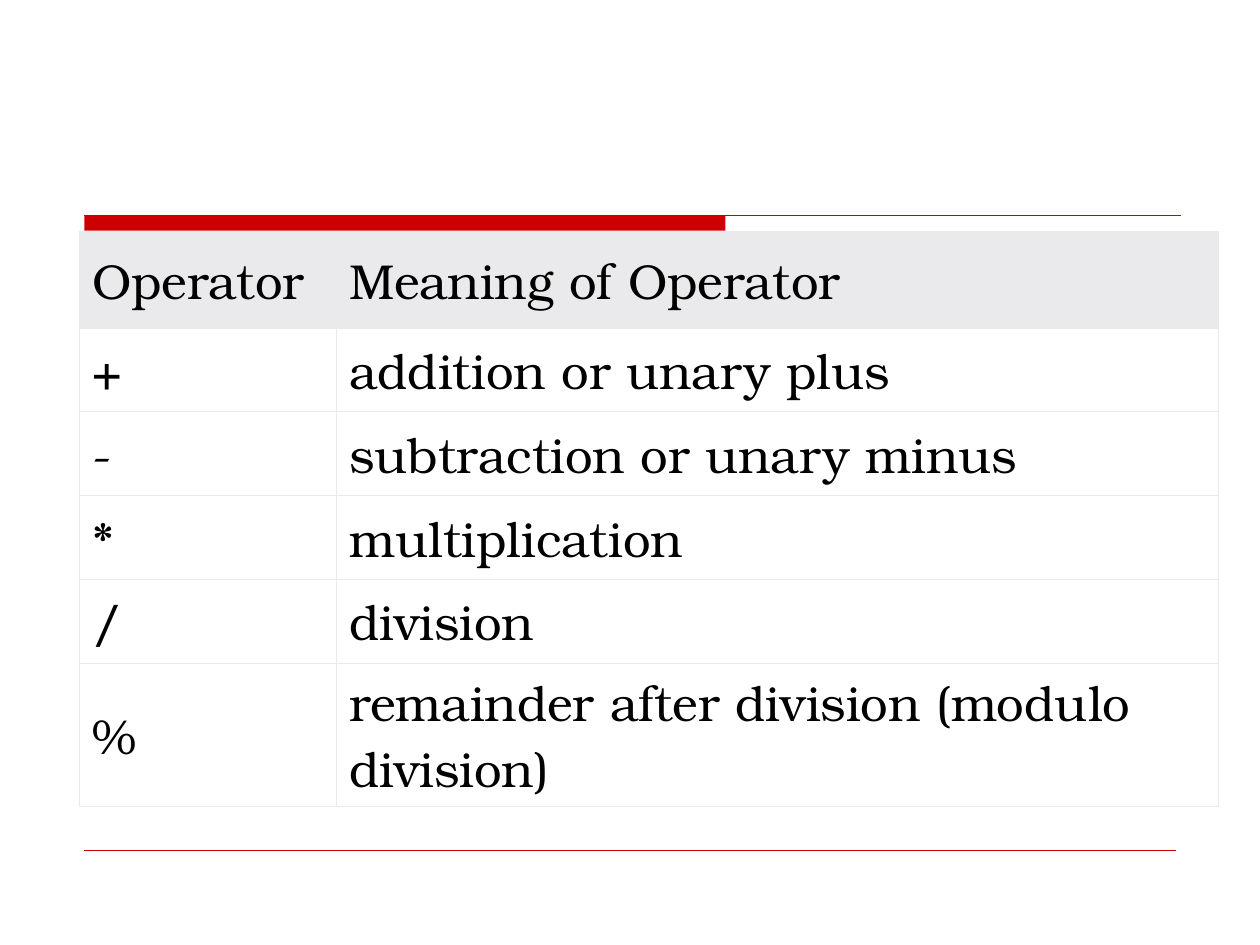
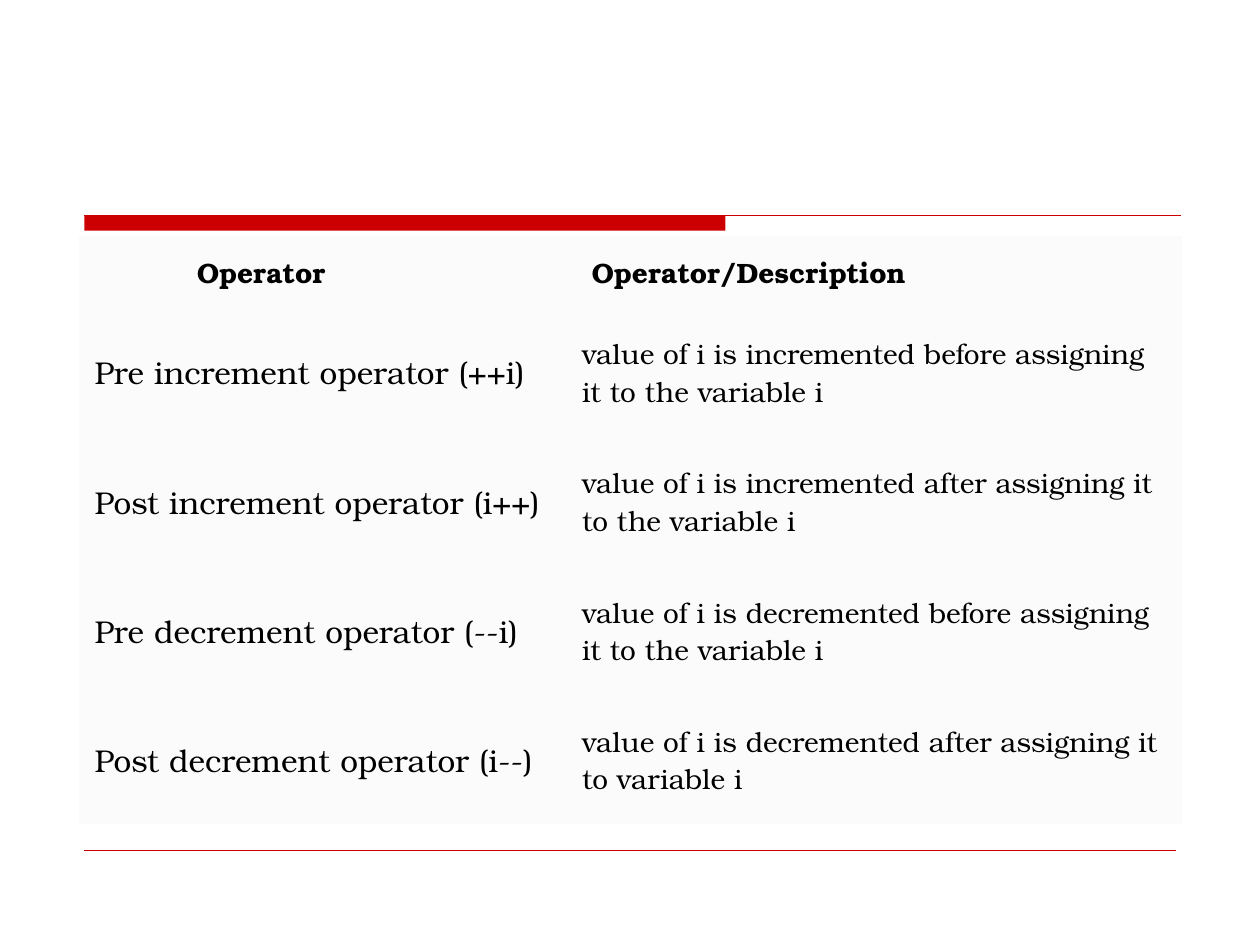
import pptx
import pptx.dml.color
import pptx.enum.shapes
import pptx.enum.text
import pptx.oxml.ns
import pptx.util
from lxml import etree

Pt = pptx.util.Pt
RGBColor = pptx.dml.color.RGBColor
qn = pptx.oxml.ns.qn

# Shared style
FONT = "TeX Gyre Bonum"
RED = RGBColor(0xCC, 0x00, 0x00)
BLACK = RGBColor(0x00, 0x00, 0x00)
WHITE = RGBColor(0xFF, 0xFF, 0xFF)
GREY = RGBColor(0xEA, 0xEA, 0xEC)
PALE = RGBColor(0xFB, 0xFB, 0xFB)
LEFT, BAND_TOP = 48.2, 123.1
TABLE_LEFT = 45.4

# Slide content
ARITHMETIC = [
    ("Operator", "Meaning of Operator"),
    ("+", "addition or unary plus"),
    ("-", "subtraction or unary minus"),
    ("*", "multiplication"),
    ("/", "division"),
    ("%", "remainder after division (modulo division)"),
]
INCREMENT = [
    ("Operator", "Operator/Description"),
    ("Pre increment operator (++i)",
     "value of i is incremented before assigning it to the variable i"),
    ("Post increment operator (i++)",
     "value of i is incremented after assigning it to the variable i"),
    ("Pre decrement operator (--i)",
     "value of i is decremented before assigning it to the variable i"),
    ("Post decrement operator (i--)",
     "value of i is decremented after assigning it to variable i"),
]


def write_text(text_frame, text, size, bold=False, indent=0):
    paragraph = text_frame.paragraphs[0]
    if indent:
        properties = paragraph._p.get_or_add_pPr()
        properties.set("marL", str(Pt(indent)))
        properties.set("indent", "0")
    run = paragraph.add_run()
    run.text = text
    run.font.name = FONT
    run.font.size = Pt(size)
    run.font.bold = bold
    run.font.color.rgb = BLACK


def add_rule(slide, top, right, width):
    rule = slide.shapes.add_connector(
        pptx.enum.shapes.MSO_CONNECTOR.STRAIGHT,
        Pt(LEFT), Pt(top), Pt(right), Pt(top))
    rule.line.color.rgb = RED
    rule.line.width = Pt(width)
    etree.SubElement(rule._element.spPr, qn("a:effectLst"))


def add_decoration(slide):
    band = slide.shapes.add_shape(
        pptx.enum.shapes.MSO_SHAPE.RECTANGLE,
        Pt(LEFT), Pt(BAND_TOP), Pt(366.4), Pt(8.8))
    band.shadow.inherit = False
    band.fill.solid()
    band.fill.fore_color.rgb = RED
    band.line.fill.background()
    add_rule(slide, BAND_TOP, 674.6, 0.75)
    add_rule(slide, 486, 672, 0.25)


def set_borders(cell, color, width=0.34):
    """Draw all four sides of a cell, or hide them when color is None."""
    properties = cell._tc.get_or_add_tcPr()
    for position, side in enumerate(("lnL", "lnR", "lnT", "lnB")):
        line = etree.Element(qn("a:" + side), w=str(Pt(width)))
        if color is None:
            etree.SubElement(line, qn("a:noFill"))
        else:
            fill = etree.SubElement(line, qn("a:solidFill"))
            etree.SubElement(fill, qn("a:srgbClr"), val=str(color))
        properties.insert(position, line)


def add_grid(slide, rows, top, widths, heights, margins, border, fills, formats):
    """Add a table; fills and formats are looked up by (row, column)."""
    table = slide.shapes.add_table(
        len(rows), len(widths), Pt(TABLE_LEFT), Pt(top),
        Pt(sum(widths)), Pt(sum(heights))).table
    table.first_row = table.horz_banding = False
    for column, width in zip(table.columns, widths):
        column.width = Pt(width)
    for row, height in zip(table.rows, heights):
        row.height = Pt(height)
    for row_index, texts in enumerate(rows):
        for column_index, text in enumerate(texts):
            cell = table.cell(row_index, column_index)
            cell.margin_left, cell.margin_right = map(Pt, margins)
            cell.margin_top = cell.margin_bottom = Pt(3.6)
            cell.vertical_anchor = pptx.enum.text.MSO_ANCHOR.MIDDLE
            cell.fill.solid()
            cell.fill.fore_color.rgb = fills(row_index)
            set_borders(cell, border)
            write_text(cell.text_frame, text, **formats(row_index, column_index))


def increment_format(row, column):
    if row == 0:
        return {"size": 16, "bold": True, "indent": (58.5, 5.5)[column]}
    return {"size": (18, 16)[column]}


def main():
    presentation = pptx.Presentation()
    presentation.slide_width, presentation.slide_height = Pt(720), Pt(540)
    blank_layout = presentation.slide_layouts[6]

    # Slide 1: arithmetic operators
    slide = presentation.slides.add_slide(blank_layout)
    add_decoration(slide)
    add_grid(slide, ARITHMETIC, top=132, widths=[146.9, 504],
             heights=[55.4] + [47.9] * 4 + [81.6], margins=(7.2, 5.8),
             border=GREY, fills=lambda row: WHITE if row else GREY,
             formats=lambda row, column: {"size": 28})

    # Slide 2: increment and decrement operators
    slide = presentation.slides.add_slide(blank_layout)
    add_decoration(slide)
    add_grid(slide, INCREMENT, top=134.9, widths=[278.6, 351.4],
             heights=[41] + [73.8] * 4, margins=(8.6, 8.6),
             border=None, fills=lambda row: PALE, formats=increment_format)

    presentation.save("out.pptx")


if __name__ == "__main__":
    main()
